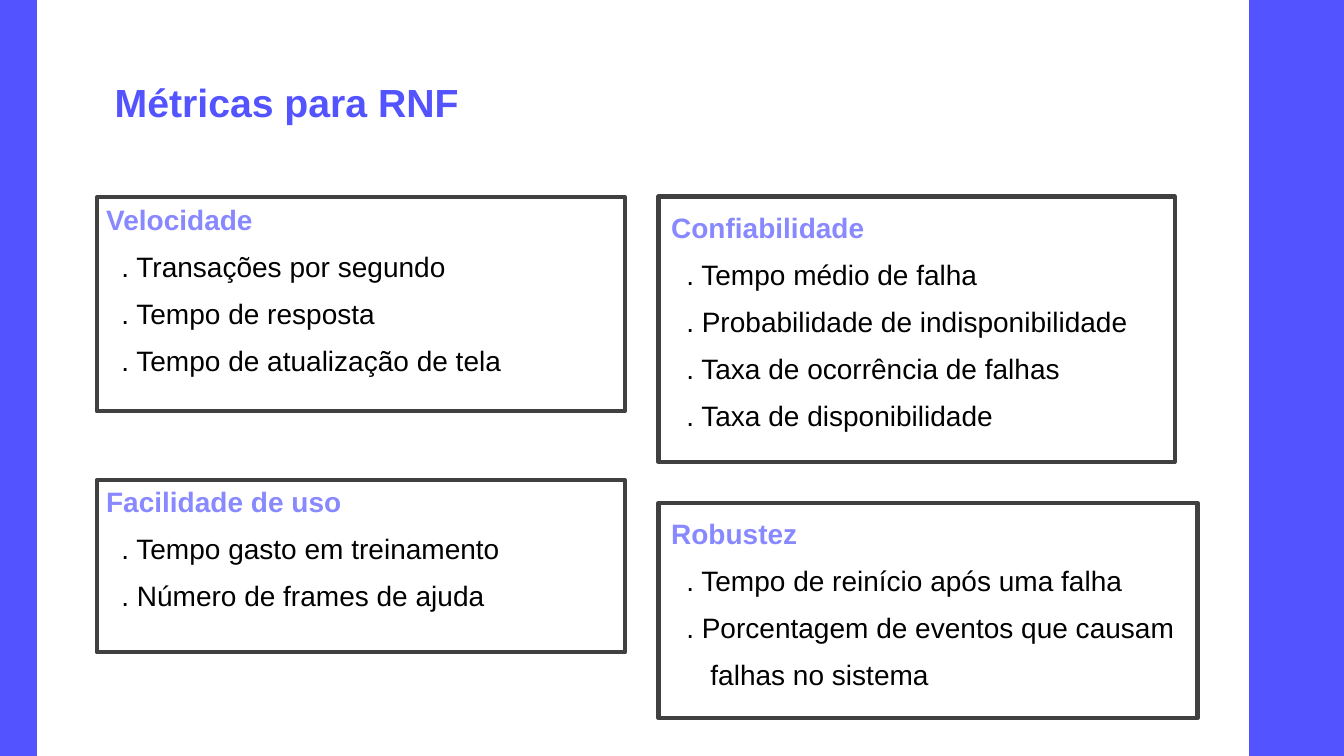
"""Build the slide on metrics for non-functional requirements."""
from dataclasses import dataclass

from pptx import Presentation
from pptx.dml.color import RGBColor
from pptx.enum.shapes import MSO_SHAPE
from pptx.enum.text import MSO_ANCHOR, PP_ALIGN
from pptx.util import Inches, Pt


@dataclass(frozen=True)
class Theme:
    """Colours, type and spacing of the slide."""
    font: str = "Arial"
    brand: str = "5353FF"
    head: str = "8989FF"
    ink: str = "000000"
    frame: str = "404040"
    title: int = 28
    body: int = 20
    space: int = 6
    lead: float = 1.15
    step: float = 0.15
    hang: float = 0.39


class Canvas:
    """Draws on one slide, with lengths in percent of its size."""

    def __init__(self, deck, theme):
        """Add a blank slide."""
        self.deck = deck
        self.theme = theme
        self.slide = deck.slides.add_slide(deck.slide_layouts[6])

    def place(self, left, top, width, height):
        """Turn percent into slide lengths."""
        wide, high = self.deck.slide_width / 100, self.deck.slide_height / 100
        return [round(n) for n in (left * wide, top * high, width * wide, height * high)]

    def rect(self, area, line, weight, fill=None):
        """Add a plain rectangle."""
        shape = self.slide.shapes.add_shape(MSO_SHAPE.RECTANGLE, *self.place(*area))
        shape.shadow.inherit = False
        if fill:
            shape.fill.solid()
            shape.fill.fore_color.rgb = RGBColor.from_string(fill)
        else:
            shape.fill.background()
        shape.line.color.rgb = RGBColor.from_string(line)
        shape.line.width = Pt(weight)

    def box(self, area, pad):
        """Add a text box and return its frame."""
        frame = self.slide.shapes.add_textbox(*self.place(*area)).text_frame
        frame.word_wrap = True
        frame.margin_left = frame.margin_right = Inches(pad[0])
        frame.margin_top = frame.margin_bottom = Inches(pad[1])
        return frame

    def label(self, para, text, size, tint, bold=False):
        """Fill and style a paragraph."""
        para.text = text
        font = para.font
        font.name, font.size, font.bold = self.theme.font, Pt(size), bold
        font.color.rgb = RGBColor.from_string(tint)

    def title(self, area, text):
        """Add the slide title."""
        frame = self.box(area, (0.1, 0.1))
        frame.vertical_anchor = MSO_ANCHOR.BOTTOM
        self.label(frame.paragraphs[0], text, self.theme.title, self.theme.brand, True)

    def column(self, area, pad, gap, groups):
        """Add a column of headed lists, with a gap between them."""
        look = self.theme
        frame = self.box(area, pad)
        para = frame.paragraphs[0]
        for index, (head, items) in enumerate(groups):
            for row, text in enumerate((head, *items)):
                if index or row:
                    para = frame.add_paragraph()
                first = row == 0
                self.label(para, text, look.body, look.head if first else look.ink, first)
                para.alignment = PP_ALIGN.JUSTIFY
                para.line_spacing = look.lead
                para.space_before = Pt(gap if first and index else look.space)
                if not first:
                    inset = look.step if text.startswith(".") else look.hang
                    para._p.get_or_add_pPr().set("marL", str(Inches(inset)))


BANDS = [(93, 0, 7, 100), (0, 0, 2.7, 100)]
FRAMES = [
    (7.2, 26.1, 39.3, 28.3), (49, 26, 38.4, 35.1),
    (49, 66.5, 40.1, 28.5), (7.2, 63.5, 39.3, 22.8),
]
LEFT = [
    ("Velocidade", [
        ". Transações por segundo",
        ". Tempo de resposta",
        ". Tempo de atualização de tela",
    ]),
    ("Facilidade de uso", [
        ". Tempo gasto em treinamento",
        ". Número de frames de ajuda",
    ]),
]
RIGHT = [
    ("Confiabilidade", [
        ". Tempo médio de falha",
        ". Probabilidade de indisponibilidade",
        ". Taxa de ocorrência de falhas",
        ". Taxa de disponibilidade",
    ]),
    ("Robustez", [
        ". Tempo de reinício após uma falha",
        ". Porcentagem de eventos que causam",
        "falhas no sistema",
    ]),
]


def main():
    """Build and save the deck."""
    deck = Presentation()
    deck.slide_width, deck.slide_height = Inches(13.33), Inches(7.5)
    theme = Theme()
    page = Canvas(deck, theme)
    for band in BANDS:
        page.rect(band, theme.brand, 1, theme.brand)
    page.title((7.8, 10.4, 55, 7.5), "Métricas para RNF")
    page.column((7.9, 26.1, 38.4, 55.7), (0, 0), 73, LEFT)
    page.column((49.2, 26.5, 39.7, 65.9), (0.1, 0.05), 56.7, RIGHT)
    for frame in FRAMES:
        page.rect(frame, theme.frame, 3)
    deck.save("out.pptx")


if __name__ == "__main__":
    main()
